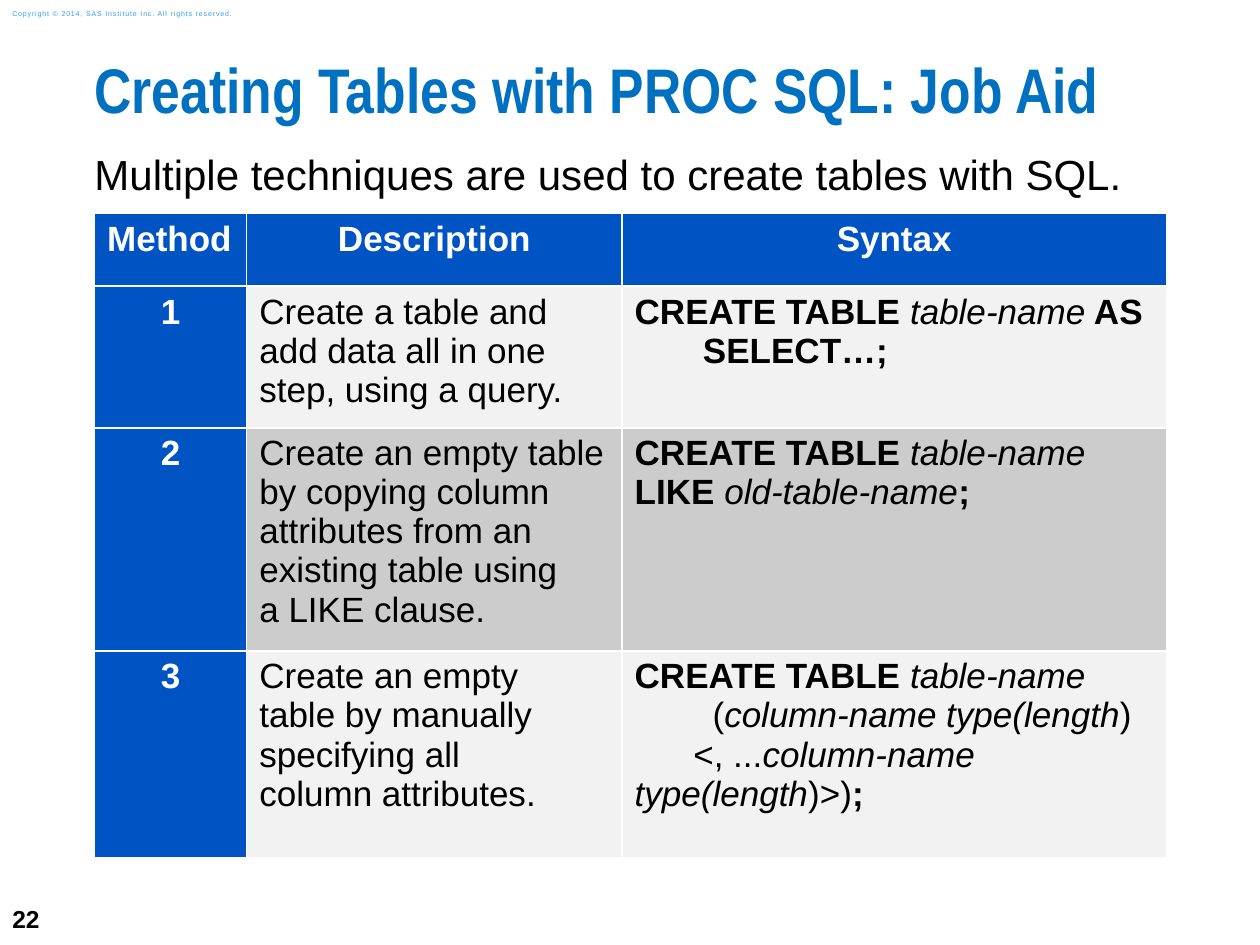
from lxml.etree import SubElement
from pptx import Presentation
from pptx.dml.color import RGBColor
from pptx.enum.text import MSO_ANCHOR, MSO_AUTO_SIZE, PP_ALIGN
from pptx.oxml import parse_xml
from pptx.oxml.ns import nsdecls, qn
from pptx.util import Pt

BLUE, WHITE, BLACK = "0053C3", "FFFFFF", "000000"
LIGHT, GREY = "F2F2F2", "CCCCCC"
NO_MARGINS = dict.fromkeys(
    ("margin_left", "margin_top", "margin_right", "margin_bottom"), 0)
CELL_FONT = {"size": Pt(20), "name": "Arial", "bold": False, "italic": False}
BOLD = {"bold": True}
ITALIC = {"italic": True}
PLAIN = {}

COLUMN_WIDTHS = [87, 214.5, 311]
ROW_HEIGHTS = [41.5, 81, 127.5, 118]
HEADINGS = ["Method", "Description", "Syntax"]
DESCRIPTIONS = [
    "Create a table and add data all in one step, using a query.",
    "Create an empty table by copying column attributes from an "
    "existing table using\na LIKE clause.",
    "Create an empty\ntable by manually specifying all\ncolumn attributes.",
]
CREATE = [("CREATE TABLE ", BOLD), ("table-name", ITALIC)]
COLUMN = ("column-name type(length", ITALIC)
SYNTAX = [
    [(0, CREATE + [(" AS", BOLD)]), (39, [("SELECT…;", BOLD)])],
    [(0, CREATE),
     (0, [("LIKE ", BOLD), ("old-table-name", ITALIC), (";", BOLD)])],
    [(0, CREATE),
     (44.5, [("(", PLAIN), COLUMN, (")", PLAIN)]),
     (33.5, [("<, ...", PLAIN), COLUMN, (")>)", PLAIN), (";", BOLD)])],
]


def colour(value):
    return RGBColor.from_string(value)


def apply(target, values):
    for name, value in values.items():
        setattr(target, name, value)


def add_spans(para, spans, font, ink):
    for text, style in spans:
        for index, line in enumerate(text.split("\n")):
            if index:
                para.add_line_break()
            span = para.add_run()
            span.text = line
            apply(span.font, font | style)
            span.font.color.rgb = colour(ink)


def add_text(page, place, text, font, ink, frame_format):
    box = page.shapes.add_textbox(*map(Pt, place))
    frame = box.text_frame
    apply(frame, {"word_wrap": True} | frame_format)
    para = frame.paragraphs[0]
    add_spans(para, [(text, PLAIN)], font, ink)
    return para


def set_title(page, text):
    title = page.shapes.title
    apply(title, dict(zip(("left", "top", "width", "height"),
                          map(Pt, (54, 36, 666, 54)))))
    apply(title.text_frame, NO_MARGINS | {
        "word_wrap": True, "auto_size": MSO_AUTO_SIZE.NONE,
        "vertical_anchor": MSO_ANCHOR.TOP})
    para = title.text_frame.paragraphs[0]
    apply(para, {"alignment": PP_ALIGN.LEFT, "line_spacing": 0.83})
    font = {"size": Pt(36), "name": "Arial Narrow", "bold": True}
    add_spans(para, [(text, PLAIN)], font, "0070C0")


def add_borders(cell):
    properties = cell._tc.get_or_add_tcPr()
    for index, side in enumerate(("lnL", "lnR", "lnT", "lnB")):
        line = parse_xml(f'<a:{side} {nsdecls("a")} w="12700"/>')
        fill = SubElement(line, qn("a:solidFill"))
        SubElement(fill, qn("a:srgbClr"), val=WHITE)
        properties.insert(index, line)


def fill_cell(cell, paragraphs, fill, ink=BLACK, alignment=PP_ALIGN.LEFT):
    cell.fill.solid()
    cell.fill.fore_color.rgb = colour(fill)
    add_borders(cell)
    frame = cell.text_frame
    for index, (indent, spans) in enumerate(paragraphs):
        para = frame.add_paragraph() if index else frame.paragraphs[0]
        para.alignment = alignment
        if indent:
            para._p.get_or_add_pPr().set("indent", str(Pt(indent)))
        add_spans(para, spans, CELL_FONT, ink)


def add_methods_table(page):
    place = (54, 122, sum(COLUMN_WIDTHS), sum(ROW_HEIGHTS))
    frame = page.shapes.add_table(
        len(ROW_HEIGHTS), len(COLUMN_WIDTHS), *map(Pt, place))
    table = frame.table
    apply(table, {"first_row": False, "horz_banding": False})
    for column, width in zip(table.columns, COLUMN_WIDTHS):
        column.width = Pt(width)
    for row, height in zip(table.rows, ROW_HEIGHTS):
        row.height = Pt(height)
    for index, heading in enumerate(HEADINGS):
        alignment = PP_ALIGN.CENTER if index else PP_ALIGN.LEFT
        fill_cell(table.cell(0, index), [(0, [(heading, BOLD)])],
                  BLUE, WHITE, alignment)
    for row, (description, syntax) in enumerate(zip(DESCRIPTIONS, SYNTAX), 1):
        fill = LIGHT if row % 2 else GREY
        fill_cell(table.cell(row, 0), [(0, [(str(row), BOLD)])],
                  BLUE, WHITE, PP_ALIGN.CENTER)
        fill_cell(table.cell(row, 1), [(0, [(description, PLAIN)])], fill)
        fill_cell(table.cell(row, 2), syntax, fill)


def main():
    deck = Presentation()
    apply(deck, {"slide_width": Pt(720), "slide_height": Pt(540)})
    page = deck.slides.add_slide(deck.slide_layouts[5])
    middle = {"vertical_anchor": MSO_ANCHOR.MIDDLE}
    add_text(page, (0, 510, 42, 30), "22",
             {"size": Pt(14), "name": "Arial", "bold": True}, BLACK, middle)
    notice = add_text(
        page, (0, 2, 152, 12),
        "Copyright © 2014, SAS Institute Inc. All rights reserved.",
        {"size": Pt(4), "name": "Arial"}, "2A9CFF", middle)
    notice.runs[0].font._element.set("spc", "50")
    set_title(page, "Creating Tables with PROC SQL: Job Aid")
    add_methods_table(page)
    add_text(page, (54, 85, 612, 66),
             "Multiple techniques are used to create tables with SQL.",
             {"size": Pt(24), "name": "Arial"}, BLACK, NO_MARGINS)
    deck.save("out.pptx")


if __name__ == "__main__":
    main()
